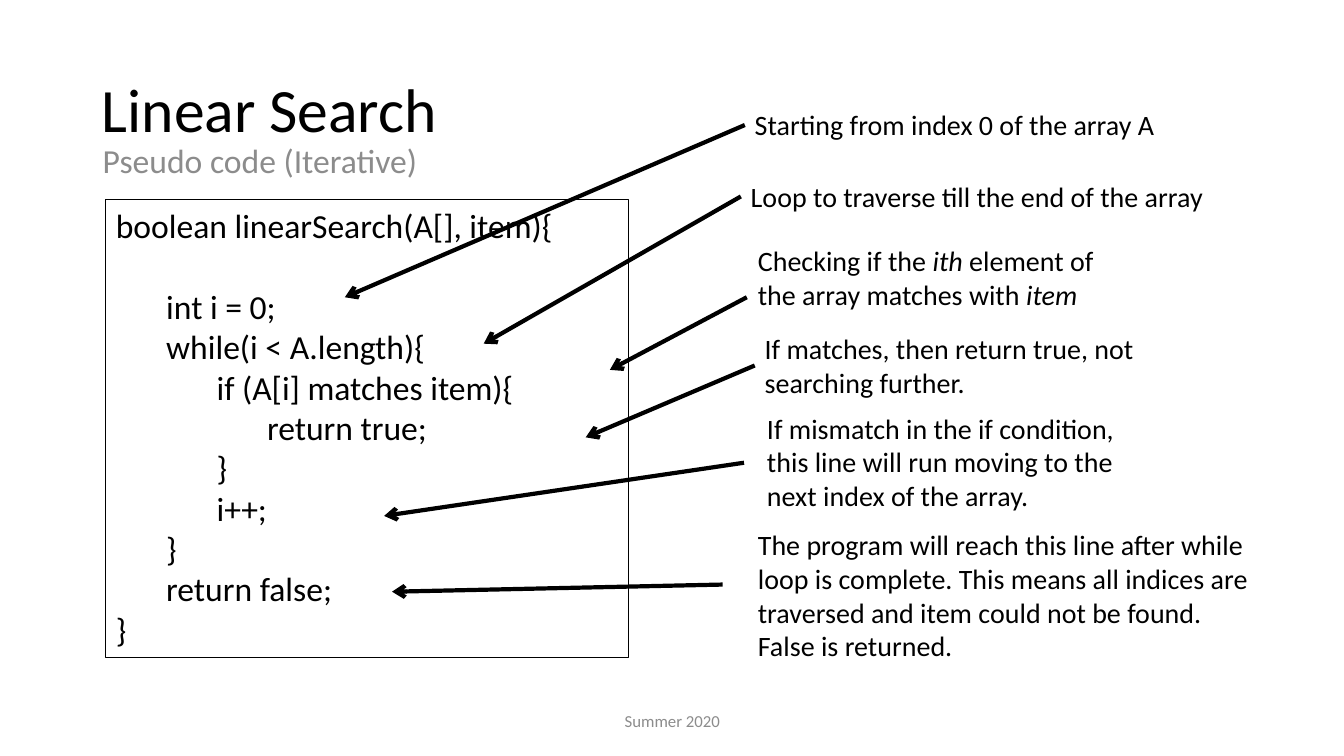
from dataclasses import dataclass
from typing import Optional

from lxml import etree
from pptx import Presentation
from pptx import util as u
from pptx.dml.color import RGBColor
from pptx.enum import shapes, text
from pptx.oxml import ns

BLACK = RGBColor(0x00, 0x00, 0x00)
GREY = RGBColor(0x8C, 0x8C, 0x8C)
FONT = "Calibri"


@dataclass
class Box:
    left: float
    top: float
    width: float
    height: float

    def place(self) -> tuple:
        return tuple(u.Cm(v) for v in (self.left, self.top, self.width, self.height))


@dataclass
class Note:
    words: str
    box: Box
    tip: tuple[float, float]
    tail: Optional[tuple[float, float]] = None
    wrap: bool = True


TITLE = Box(2.31, 1.6, 29.21, 2.21)
HEADING = Box(2.34, 3.51, 29.21, 1.57)
FOOTER = Box(11.23, 17.65, 11.43, 1.02)
CODE = Box(2.67, 5.03, 13.18, 11.53)

LINES = [
    (0, "boolean linearSearch(A[], item){"),
    (1, "int i = 0;"),
    (1, "while(i < A.length){"),
    (2, "if (A[i] matches item){"),
    (3, "return true;"),
    (2, "}"),
    (2, "i++;"),
    (1, "}"),
    (1, "return false;"),
    (0, "}"),
]

NOTES = [
    Note("Starting from index 0 of the array A",
         Box(18.77, 2.59, 11.79, 1.12), (8.69, 7.49)),
    Note("Loop to traverse till the end of the array",
         Box(18.67, 4.39, 11.96, 1.12), (12.19, 8.66)),
    Note("Checking if the *ith* element of the array matches with *item*",
         Box(18.85, 6.02, 10.03, 1.96), (15.37, 9.32), (18.82, 7.49)),
    Note("If matches, then return true, not searching further.",
         Box(19.02, 8.23, 10.03, 1.96), (14.76, 11.02)),
    Note("If mismatch in the if condition, this line will run moving to the "
         "next index of the array.",
         Box(19.08, 10.24, 10.03, 2.82), (9.68, 13.0), (18.75, 11.66)),
    Note("The program will reach this line after while\n"
         "loop is complete. This means all indices are\n"
         "traversed and item could not be found.\n"
         "False is returned.",
         Box(18.85, 13.18, 13.03, 3.68), (9.88, 14.91), (18.21, 14.73), False),
]


def style(frame, size: float, color: RGBColor) -> None:
    for para in frame.paragraphs:
        for run in para.runs:
            run.font.name = FONT
            run.font.size = u.Pt(size)
            run.font.color.rgb = color


def add_text(slide, box: Box, words: str, size: float,
             color: RGBColor = BLACK, wrap: bool = True):
    shape = slide.shapes.add_textbox(*box.place())
    frame = shape.text_frame
    frame.word_wrap = wrap
    first, *rest = words.split("*")
    frame.text = ""
    para = frame.paragraphs[0]
    para.text = first
    for pos, part in enumerate(rest):
        if part:
            run = para.add_run()
            run.text = part
            run.font.italic = pos % 2 == 0
    style(frame, size, color)
    return shape


def add_code(slide) -> None:
    shape = add_text(slide, CODE, "", 24, wrap=False)
    shape.line.color.rgb = BLACK
    shape.line.width = u.Pt(0.75)
    frame = shape.text_frame
    frame.auto_size = text.MSO_AUTO_SIZE.SHAPE_TO_FIT_TEXT
    for pos, (depth, words) in enumerate(LINES):
        para = frame.add_paragraph() if pos else frame.paragraphs[0]
        para.text = "\t" * depth + words
    frame.paragraphs[0].space_after = u.Pt(29.3)
    style(frame, 24, BLACK)


def add_arrow(slide, note: Note, shape) -> None:
    start = note.tail or (note.box.left, note.box.top + note.box.height / 2)
    ends = [u.Cm(v) for v in (*start, *note.tip)]
    arrow = slide.shapes.add_connector(shapes.MSO_CONNECTOR.STRAIGHT, *ends)
    if note.tail is None:
        arrow.begin_connect(shape, 1)
    arrow.line.color.rgb = BLACK
    arrow.line.width = u.Pt(3)
    etree.SubElement(arrow.line._get_or_add_ln(), ns.qn("a:tailEnd"), type="arrow")
    etree.SubElement(arrow._element.spPr, ns.qn("a:effectLst"))


def add_title(slide) -> None:
    title = slide.shapes.title
    title.left, title.top, title.width, title.height = TITLE.place()
    frame = title.text_frame
    frame.text = "Linear Search"
    frame.auto_size = text.MSO_AUTO_SIZE.NONE
    frame.vertical_anchor = text.MSO_ANCHOR.BOTTOM
    frame.paragraphs[0].alignment = text.PP_ALIGN.LEFT
    frame.paragraphs[0].line_spacing = 0.9
    style(frame, 44, BLACK)


def main() -> None:
    deck = Presentation()
    deck.slide_width, deck.slide_height = u.Cm(33.87), u.Cm(19.05)
    slide = deck.slides.add_slide(deck.slide_layouts[5])

    add_title(slide)
    para = add_text(slide, HEADING, "Pseudo code (Iterative)", 24, GREY).text_frame.paragraphs[0]
    para.line_spacing = 0.9
    para.space_before = u.Pt(10)

    frame = add_text(slide, FOOTER, "Summer 2020", 12, GREY).text_frame
    frame.vertical_anchor = text.MSO_ANCHOR.MIDDLE
    frame.paragraphs[0].alignment = text.PP_ALIGN.CENTER

    add_code(slide)
    for note in NOTES:
        shape = add_text(slide, note.box, note.words, 20, wrap=note.wrap)
        add_arrow(slide, note, shape)

    deck.save("out.pptx")


if __name__ == "__main__":
    main()
